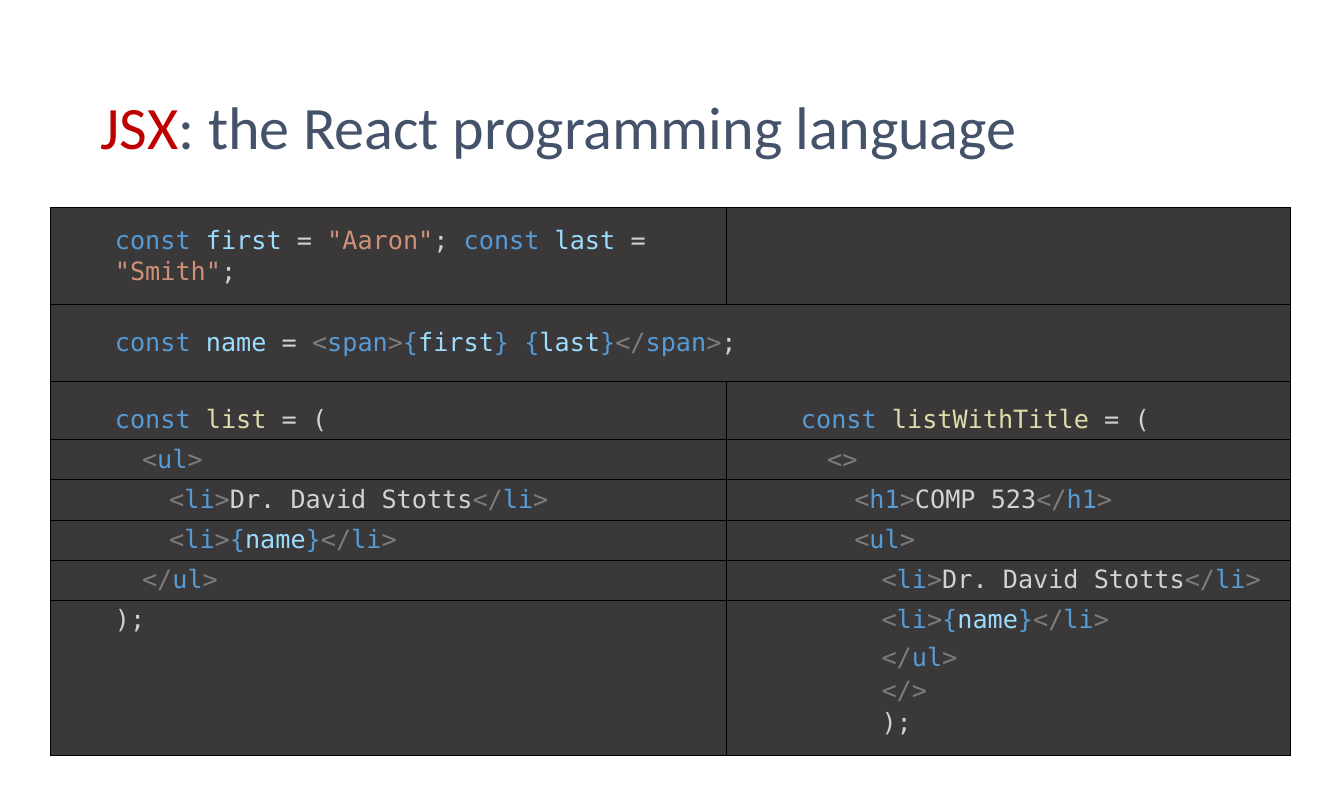
from lxml import etree
from pptx import Presentation
from pptx.dml.color import RGBColor
from pptx.enum.text import MSO_ANCHOR
from pptx.oxml.ns import qn
from pptx.util import Inches, Pt

TOP, MIDDLE, BOTTOM = MSO_ANCHOR.TOP, MSO_ANCHOR.MIDDLE, MSO_ANCHOR.BOTTOM

RED = RGBColor(0xBF, 0x00, 0x00)
SLATE = RGBColor(0x44, 0x53, 0x6A)
CHARCOAL = RGBColor(0x3A, 0x38, 0x39)
KEYWORD = RGBColor(0x55, 0x9B, 0xD5)
VARIABLE = RGBColor(0x9C, 0xDC, 0xFD)
PLAIN = RGBColor(0xD0, 0xD3, 0xD0)
STRING = RGBColor(0xCE, 0x91, 0x78)
BRACKET = RGBColor(0x7E, 0x7C, 0x7B)
CONSTANT = RGBColor(0xDC, 0xDC, 0xAA)
BORDER_HEX = "000000"


def tag(name, opening="<"):
    return [(opening, BRACKET), (name, KEYWORD), (">", BRACKET)]


def element(name, content):
    return tag(name) + content + tag(name, "</")


def declare(name, color):
    return [("const ", KEYWORD), (name + " ", color)]


TITLE = [("JSX", RED), (": the React programming language", SLATE)]

STRINGS = (
    declare("first", VARIABLE)
    + [("= ", PLAIN), ('"Aaron"', STRING), ("; ", PLAIN)]
    + declare("last", VARIABLE)
    + [("= ", PLAIN), ('"Smith"', STRING), (";", PLAIN)]
)
NAME = (
    declare("name", VARIABLE)
    + [("= ", PLAIN)]
    + element("span", [
        ("{", KEYWORD), ("first", VARIABLE), ("} {", KEYWORD),
        ("last", VARIABLE), ("}", KEYWORD),
    ])
    + [(";", PLAIN)]
)
LIST = declare("list", CONSTANT) + [("= (", PLAIN)]
TITLED_LIST = declare("listWithTitle", CONSTANT) + [("= (", PLAIN)]
PERSON_ITEM = element("li", [("Dr. David Stotts", PLAIN)])
NAME_ITEM = element("li", [("{", KEYWORD), ("name", VARIABLE), ("}", KEYWORD)])
HEADING = element("h1", [("COMP 523", PLAIN)])
UL_OPEN, UL_CLOSE = tag("ul"), tag("ul", "</")
END = [(");", PLAIN)]

# row height, anchor, then (indent, code lines) for each column
ROWS = [
    (0.96, MIDDLE, [(0.54, [STRINGS]), (0, [])]),
    (0.76, MIDDLE, [(0.54, [NAME]), (0, [])]),
    (0.58, BOTTOM, [(0.54, [LIST]), (0.64, [TITLED_LIST])]),
    (0.3, MIDDLE, [(0.81, [UL_OPEN]), (0.9, [[("<>", BRACKET)]])]),
    (0.31, BOTTOM, [(1.08, [PERSON_ITEM]), (1.17, [HEADING])]),
    (0.31, TOP, [(1.08, [NAME_ITEM]), (1.17, [UL_OPEN])]),
    (0.3, TOP, [(0.81, [UL_CLOSE]), (1.44, [PERSON_ITEM])]),
    (1.54, TOP, [(0.54, [END]),
                 (1.44, [NAME_ITEM, UL_CLOSE, [("</>", BRACKET)], END])]),
]
COLUMN_WIDTHS = [6.71, 5.6]


def add_spans(para, spans, font_name, size):
    para.font.name = font_name
    para.font.size = Pt(size)
    for text, color in spans:
        span = para.add_run()
        span.text = text
        span.font.color.rgb = color


def add_borders(cell):
    properties = cell._tc.get_or_add_tcPr()
    for position, side in enumerate(("lnL", "lnR", "lnT", "lnB")):
        line = etree.Element(qn("a:" + side), w=str(Pt(0.45)))
        fill = etree.SubElement(line, qn("a:solidFill"))
        etree.SubElement(fill, qn("a:srgbClr"), val=BORDER_HEX)
        properties.insert(position, line)


def fill_cell(cell, anchor, indent, lines):
    cell.fill.solid()
    cell.fill.fore_color.rgb = CHARCOAL
    cell.vertical_anchor = anchor
    add_borders(cell)
    for number, spans in enumerate(lines):
        frame = cell.text_frame
        para = frame.add_paragraph() if number else frame.paragraphs[0]
        add_spans(para, spans, "DejaVu Sans Mono", 18)
        properties = para._p.get_or_add_pPr()
        properties.set("marL", str(Inches(indent)))
        properties.set("indent", "0")
        if spans is STRINGS:
            para.line_spacing = Pt(21.6)
        elif number:
            para.line_spacing = Pt(23)
        elif len(lines) > 1:
            para.space_after = Pt(4.2)


def main():
    deck = Presentation()
    deck.slide_width, deck.slide_height = Inches(13.34), Inches(7.97)
    page = deck.slides.add_slide(deck.slide_layouts[6])

    box = page.shapes.add_textbox(Inches(1), Inches(0.89), Inches(9.22), Inches(0.57))
    frame = box.text_frame
    frame.word_wrap = False
    frame.margin_left = frame.margin_top = frame.margin_right = frame.margin_bottom = 0
    add_spans(frame.paragraphs[0], TITLE, "Calibri", 43)

    table = page.shapes.add_table(
        len(ROWS), len(COLUMN_WIDTHS), Inches(0.5), Inches(2.06),
        Inches(sum(COLUMN_WIDTHS)), Inches(sum(row[0] for row in ROWS)),
    ).table
    table.first_row = table.horz_banding = False
    for column, width in zip(table.columns, COLUMN_WIDTHS):
        column.width = Inches(width)
    for row_number, (height, anchor, cells) in enumerate(ROWS):
        table.rows[row_number].height = Inches(height)
        for column_number, (indent, lines) in enumerate(cells):
            fill_cell(table.cell(row_number, column_number), anchor, indent, lines)
    table.cell(1, 0).merge(table.cell(1, 1))

    deck.save("out.pptx")


if __name__ == "__main__":
    main()
